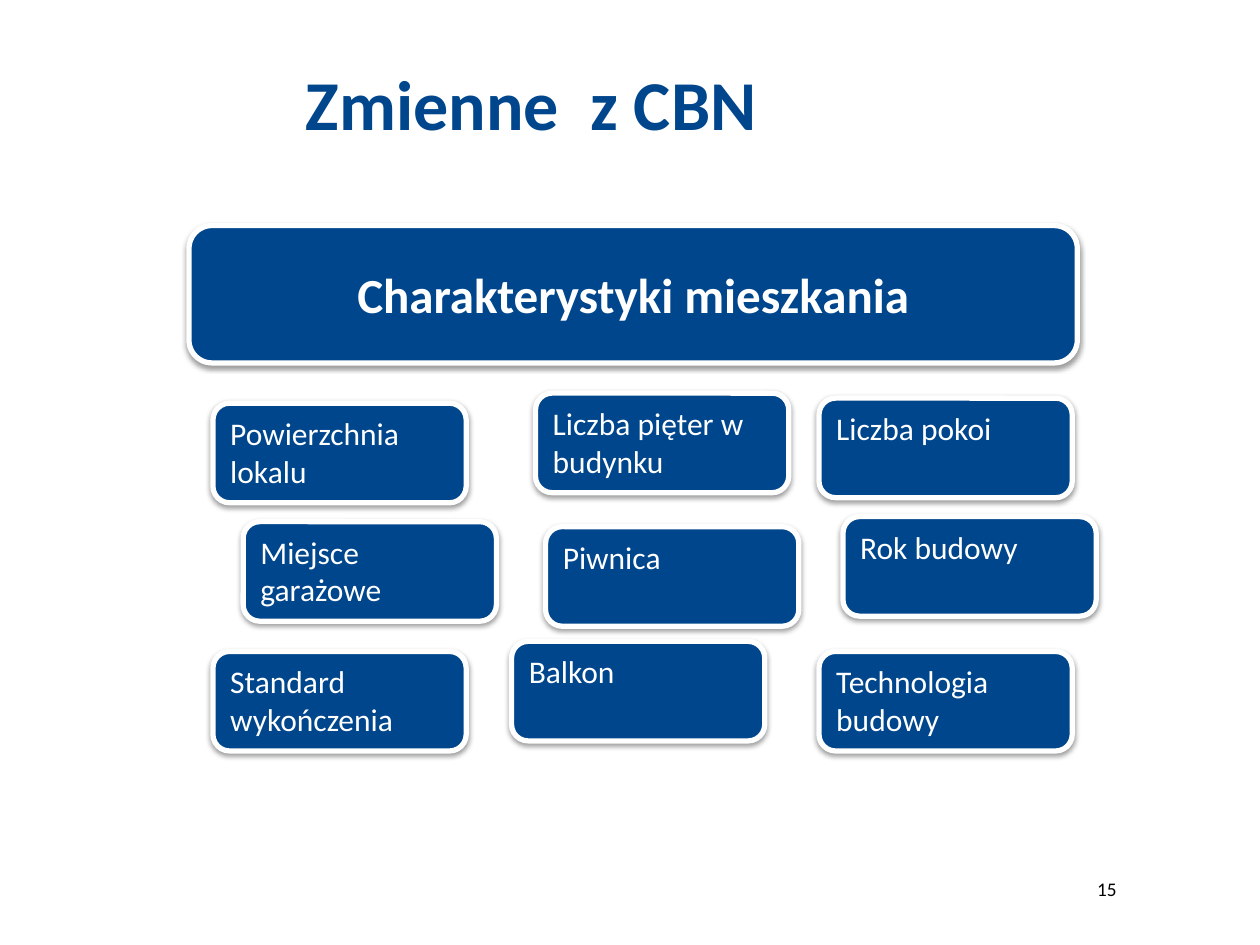
from lxml.etree import SubElement
from pptx import Presentation
from pptx.dml.color import RGBColor
from pptx.enum.shapes import MSO_SHAPE
from pptx.enum.text import MSO_ANCHOR, PP_ALIGN
from pptx.oxml.ns import qn
from pptx.util import Inches, Pt

NAVY = RGBColor(0x00, 0x46, 0x8C)
WHITE = RGBColor(0xFF, 0xFF, 0xFF)
BLACK = RGBColor(0x00, 0x00, 0x00)
FONT = "Calibri"
FEATURE_SIZE = (2.01, 0.79)
FEATURES = [
    ("Powierzchnia lokalu", 1.69, 3.2),
    ("Miejsce garażowe", 1.93, 4.14),
    ("Liczba pięter w budynku", 4.25, 3.12),
    ("Rok budowy", 6.69, 4.1),
    ("Liczba pokoi", 6.5, 3.16),
    ("Piwnica", 4.33, 4.18),
    ("Standard wykończenia", 1.69, 5.17),
    ("Balkon", 4.06, 5.09),
    ("Technologia budowy", 6.5, 5.17),
]


def write_text(text_frame, text, size, color, bold=False,
               align=PP_ALIGN.CENTER, anchor=MSO_ANCHOR.MIDDLE):
    """Fill a text frame with one formatted paragraph."""
    text_frame.word_wrap = True
    text_frame.vertical_anchor = anchor
    text_frame.text = text
    paragraph = text_frame.paragraphs[0]
    paragraph.alignment = align
    font = paragraph.runs[0].font
    font.name = FONT
    font.size = Pt(size)
    font.bold = bold
    font.color.rgb = color


def add_label(slide, box, text, size, color, **text_options):
    """Add a text box without margins."""
    text_frame = slide.shapes.add_textbox(*map(Inches, box)).text_frame
    text_frame.margin_left = text_frame.margin_right = 0
    text_frame.margin_top = text_frame.margin_bottom = 0
    write_text(text_frame, text, size, color, **text_options)


def add_soft_shadow(shape):
    """Put a soft black shadow below a shape."""
    shape.shadow.inherit = False
    effects = shape._element.spPr.find(qn("a:effectLst"))
    shadow = SubElement(effects, qn("a:outerShdw"), blurRad=str(Pt(3.1)),
                        dist=str(Pt(1.6)), dir="5400000", rotWithShape="0")
    color = SubElement(shadow, qn("a:srgbClr"), val=str(BLACK))
    SubElement(color, qn("a:alpha"), val="38000")


def add_card(slide, box, text, size, **text_options):
    """Add a navy rounded card with a white border."""
    shape = slide.shapes.add_shape(MSO_SHAPE.ROUNDED_RECTANGLE, *map(Inches, box))
    shape.fill.solid()
    shape.fill.fore_color.rgb = NAVY
    shape.line.color.rgb = WHITE
    shape.line.width = Pt(3)
    add_soft_shadow(shape)
    write_text(shape.text_frame, text, size, WHITE, **text_options)


def main():
    """Build and save the slide."""
    presentation = Presentation()
    presentation.slide_width = Inches(10)
    presentation.slide_height = Inches(7.5)
    slide = presentation.slides.add_slide(presentation.slide_layouts[6])
    add_label(slide, (0.87, 0.48, 6.69, 0.98), "Zmienne  z CBN", 40, NAVY,
              bold=True, anchor=MSO_ANCHOR.TOP)
    add_label(slide, (8.35, 6.86, 0.87, 0.39), "15", 11, BLACK)
    add_card(slide, (1.5, 1.79, 7.05, 1.09), "Charakterystyki mieszkania", 28, bold=True)
    for text, left, top in FEATURES:
        add_card(slide, (left, top, *FEATURE_SIZE), text, 18,
                 align=PP_ALIGN.LEFT, anchor=MSO_ANCHOR.TOP)
    presentation.save("out.pptx")


if __name__ == "__main__":
    main()
